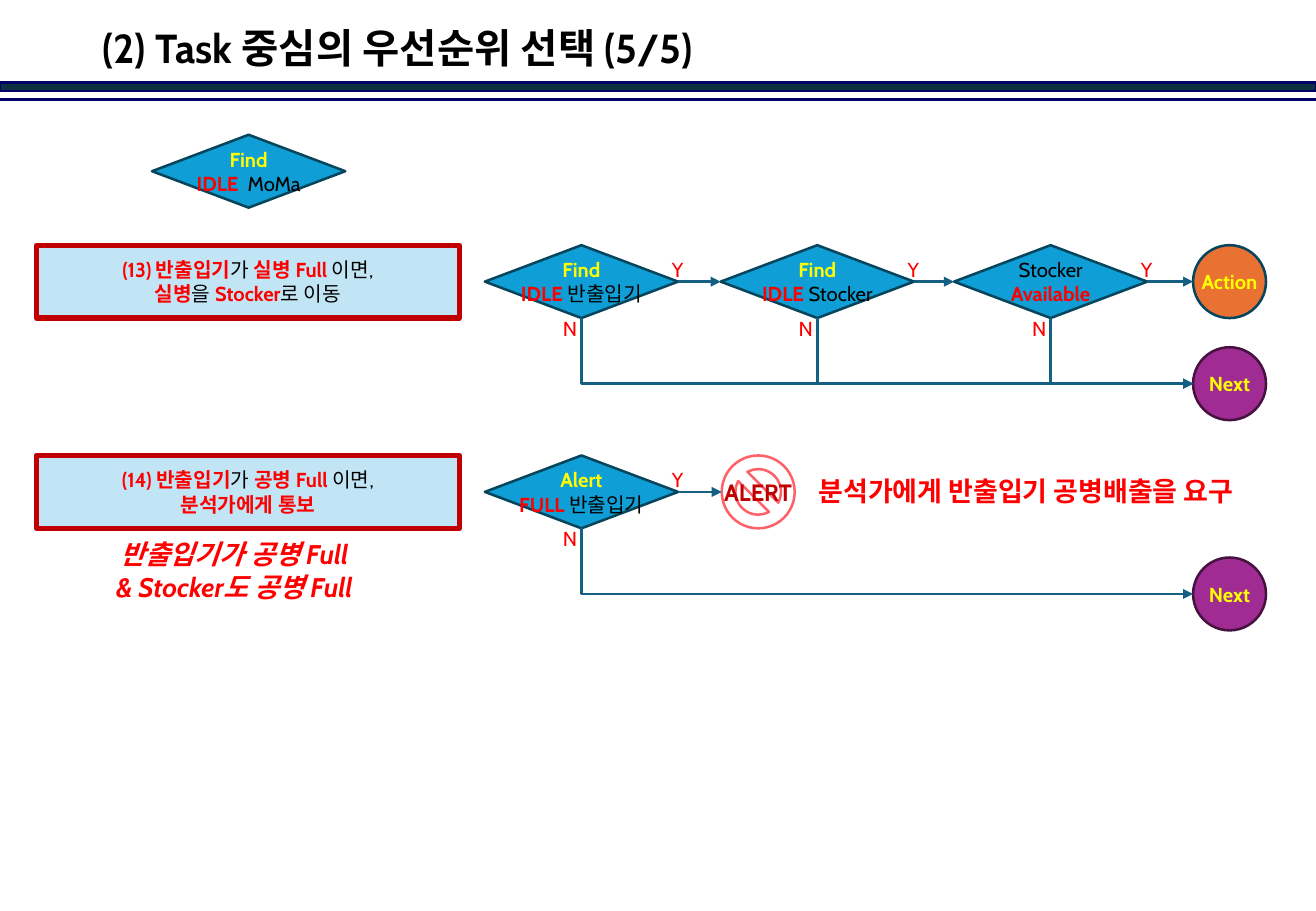
from lxml.etree import SubElement
from pptx import Presentation
from pptx.dml.color import RGBColor
from pptx.enum.shapes import MSO_CONNECTOR, MSO_SHAPE
from pptx.enum.text import MSO_ANCHOR, PP_ALIGN
from pptx.oxml.ns import qn
from pptx.util import Inches, Pt

CELL = Inches(0.3)
COLUMNS, ROWS = 36.1, 25
FONT = "Cabin"

BLACK = RGBColor(0x00, 0x00, 0x00)
RED = RGBColor(0xFF, 0x00, 0x00)
DARK_RED = RGBColor(0xC0, 0x00, 0x00)
PINK = RGBColor(0xFD, 0x62, 0x6B)
YELLOW = RGBColor(0xFF, 0xFF, 0x00)
NAVY = RGBColor(0x00, 0x00, 0x66)
BAND = RGBColor(0x0B, 0x30, 0x41)
BLUE = RGBColor(0x0F, 0x9E, 0xD5)
BLUE_EDGE = RGBColor(0x07, 0x45, 0x5D)
PALE_BLUE = RGBColor(0xC1, 0xE5, 0xF5)
TEAL = RGBColor(0x15, 0x60, 0x82)
ORANGE = RGBColor(0xE9, 0x71, 0x32)
PURPLE = RGBColor(0xA0, 0x2B, 0x93)
PURPLE_EDGE = RGBColor(0x46, 0x13, 0x40)

DIAMOND_WIDTH, NODE_HEIGHT = 5.3, 2
DECISION_COLUMNS = (13.3, 19.77, 26.17)
END_COLUMN = 32.73
NEXT_DROP = 2.8
RULE_ROWS = (6.73, 12.5)


def cells(*counts):
    return [round(count * CELL) for count in counts]


def write(box, lines, size=12, italic=False):
    frame = box.text_frame
    frame.word_wrap = False
    para = frame.paragraphs[0]
    para.alignment = PP_ALIGN.CENTER
    para.font.name = FONT
    para.font.size = Pt(size)
    para.font.italic = italic
    for index, line in enumerate(lines):
        if index:
            para.add_line_break()
        for text, color, bold in line:
            span = para.add_run()
            span.text = text
            span.font.color.rgb = color
            span.font.bold = bold


def add_node(page, kind, place, fill, edge, lines, weight=1.5, size=12):
    node = page.shapes.add_shape(kind, *cells(*place))
    node.shadow.inherit = False
    if fill is None:
        node.fill.background()
    else:
        node.fill.solid()
        node.fill.fore_color.rgb = fill
    node.line.color.rgb = edge
    node.line.width = Pt(weight)
    node.text_frame.vertical_anchor = MSO_ANCHOR.MIDDLE
    write(node, lines, size)
    return node


def add_label(page, place, lines, size=12, italic=False):
    write(page.shapes.add_textbox(*cells(*place)), lines, size, italic)


def add_line(page, kind, ends, color=TEAL, arrow=True):
    line = page.shapes.add_connector(kind, *ends)
    line.line.color.rgb = color
    line.line.width = Pt(1.5)
    if arrow:
        SubElement(line.line._get_or_add_ln(), qn("a:tailEnd"), type="triangle")
    SubElement(line._element.spPr, qn("a:effectLst"))
    return line


def add_arrow(page, source, target):
    middle = source.top + source.height // 2
    start = source.left + source.width
    arrow = add_line(page, MSO_CONNECTOR.STRAIGHT, (start, middle, target.left, middle))
    arrow.begin_connect(source, 3)
    if target.auto_shape_type == MSO_SHAPE.DIAMOND:
        arrow.end_connect(target, 1)


def add_elbow(page, source, target):
    start = source.left + source.width // 2
    bottom = source.top + source.height
    run = target.left - start
    drop = target.top + target.height // 2 - bottom
    left = start + (run - drop) // 2
    top = bottom + (drop - run) // 2
    elbow = add_line(page, MSO_CONNECTOR.ELBOW, (left + drop, top, left, top + run))
    properties = elbow._element.spPr
    properties.find(qn("a:xfrm")).set("rot", str(270 * 60000))
    properties.find(qn("a:prstGeom")).set("prst", "bentConnector2")


def add_decision(page, column, row, lines):
    place = (column, row, DIAMOND_WIDTH, NODE_HEIGHT)
    return add_node(page, MSO_SHAPE.DIAMOND, place, BLUE, BLUE_EDGE, lines)


def add_rule(page, row, lines):
    add_node(page, MSO_SHAPE.RECTANGLE, (1, row, 11.6, NODE_HEIGHT),
             PALE_BLUE, DARK_RED, lines, weight=3)


def add_circle(page, row, text, fill, edge):
    place = (END_COLUMN, row, NODE_HEIGHT, NODE_HEIGHT)
    return add_node(page, MSO_SHAPE.OVAL, place, fill, edge, [[(text, YELLOW, True)]])


def add_flow(page, row, questions, goal):
    following = add_circle(page, row + NEXT_DROP, "Next", PURPLE, PURPLE_EDGE)
    decisions = [add_decision(page, column, row, lines)
                 for column, lines in zip(DECISION_COLUMNS, questions)]
    for column, source, target in zip(DECISION_COLUMNS, decisions, decisions[1:] + [goal]):
        add_arrow(page, source, target)
        add_elbow(page, source, following)
        add_label(page, (column + 4.8, row + 0.17, 0.97, 1), [[("Y", RED, False)]])
        add_label(page, (column + 1.8, row + 1.78, 1.07, 1), [[("N", RED, False)]])


def question(verb, state, thing):
    return [[(verb, YELLOW, True)], [(state, RED, True), (thing, BLACK, False)]]


def condition(number, bottle, action):
    return [[(f"({number}) 반출입기", RED, True), ("가 ", BLACK, False),
             (f"{bottle} Full", RED, True), (" 이면,", BLACK, False)], action]


def add_header(page):
    add_node(page, MSO_SHAPE.RECTANGLE, (0, 2.27, COLUMNS, 0.23), BAND, NAVY, [])
    add_line(page, MSO_CONNECTOR.STRAIGHT, cells(0, 2.73, COLUMNS, 2.73), NAVY, arrow=False)
    title = page.shapes.title
    title.left, title.top, title.width, title.height = cells(2.47, 0.5, 31.17, 1.77)
    title.text_frame.text = "(2) Task 중심의 우선순위 선택 (5/5)"
    title.text_frame.vertical_anchor = MSO_ANCHOR.MIDDLE
    para = title.text_frame.paragraphs[0]
    para.alignment = PP_ALIGN.LEFT
    para.line_spacing = 0.9
    para.font.name = FONT
    para.font.size = Pt(24)
    para.font.bold = True
    para.font.color.rgb = BLACK


def main():
    deck = Presentation()
    deck.slide_width, deck.slide_height = cells(COLUMNS, ROWS)
    page = deck.slides.add_slide(deck.slide_layouts[5])
    add_header(page)
    add_decision(page, 4.17, 3.7, question("Find", "IDLE  ", "MoMa"))

    full_row, empty_row = RULE_ROWS
    add_rule(page, full_row, condition(13, "실병", [
        ("실병", RED, True), ("을 ", BLACK, False),
        ("Stocker", RED, True), ("로 이동", BLACK, False)]))
    action = add_circle(page, full_row, "Action", ORANGE, BLUE_EDGE)
    add_flow(page, full_row, [
        question("Find", "IDLE ", "반출입기"),
        question("Find", "IDLE ", "Stocker"),
        [[("Stocker", BLACK, False)], [("Available", RED, True)]]], action)

    add_rule(page, empty_row, condition(14, "공병", [("분석가에게 통보", RED, True)]))
    alert = add_node(page, MSO_SHAPE.NO_SYMBOL, (19.8, empty_row, NODE_HEIGHT, NODE_HEIGHT),
                     None, PINK, [[("ALERT", DARK_RED, True)]], size=14)
    add_flow(page, empty_row, [question("Alert", "FULL ", "반출입기")], alert)
    add_label(page, (21.6, 12.87, 13.1, 1.23),
              [[("분석가에게 반출입기 공병배출을 요구", RED, True)]], size=16)
    add_label(page, (2.53, 14.6, 7.8, 2.13),
              [[("반출입기가 공병 Full", RED, True)],
               [("& Stocker도 공병 Full", RED, True)]], size=16, italic=True)
    deck.save("out.pptx")


if __name__ == "__main__":
    main()
